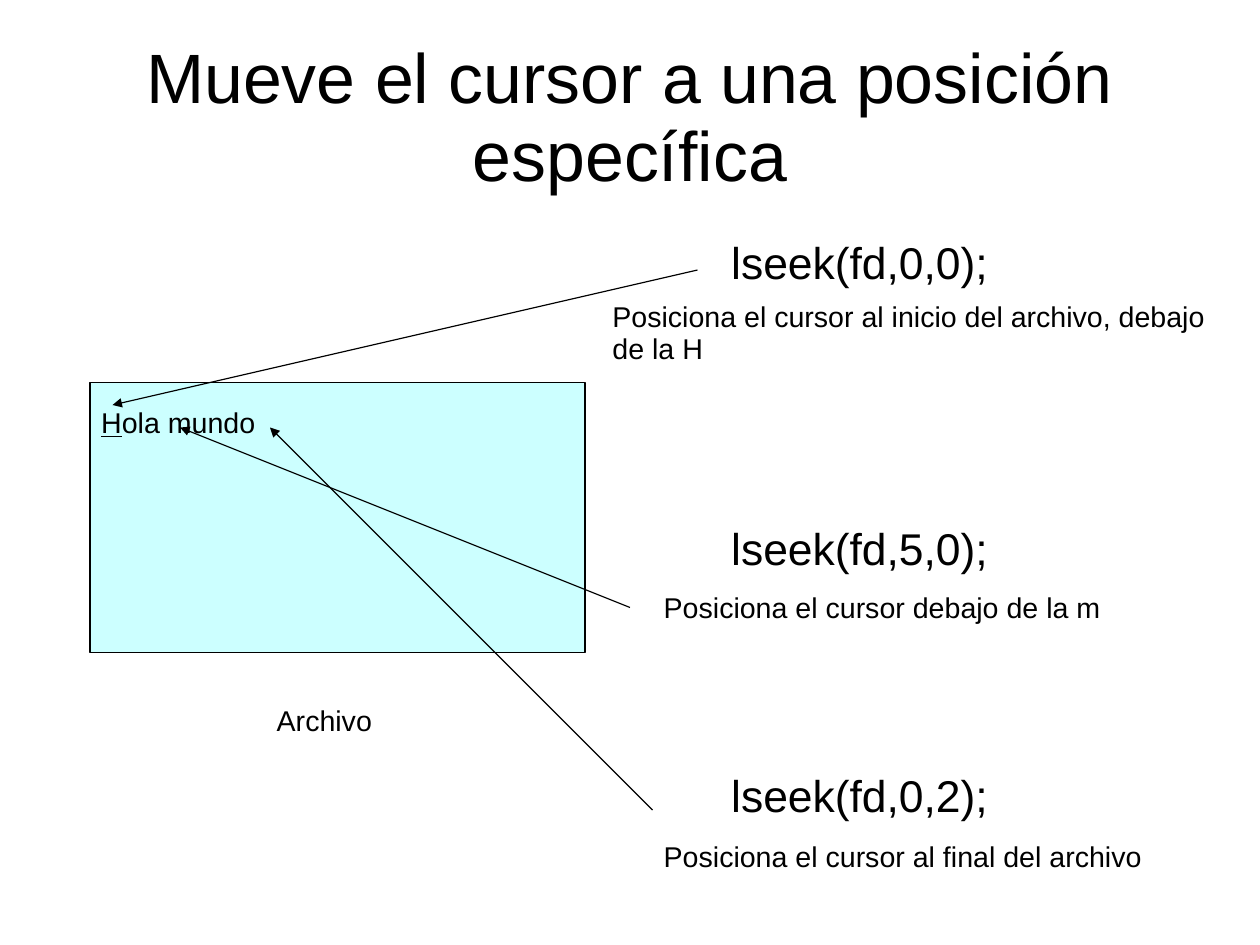
from pptx import Presentation
from pptx.dml.color import RGBColor
from pptx.enum.shapes import MSO_CONNECTOR, MSO_SHAPE
from pptx.enum.text import MSO_ANCHOR, PP_ALIGN
from pptx.oxml.ns import qn
from pptx.util import Cm, Pt
from lxml.etree import SubElement

CALLS = [
    ("lseek(fd,0,0);", "Posiciona el cursor al inicio del archivo, debajo de la H",
     (16, 5.16), (13.36, 6.53), (15.5, 6), (2.5, 9)),
    ("lseek(fd,5,0);", "Posiciona el cursor debajo de la m",
     (16, 11.5), (14.5, 13), (14, 13.5), (4, 9.5)),
    ("lseek(fd,0,2);", "Posiciona el cursor al final del archivo",
     (16, 17), (14.5, 18.54), (14.5, 18), (6, 9.5)),
]


def color(code):
    """Turn a hex string into a colour."""
    return RGBColor.from_string(code)


def style(frame, size, align=PP_ALIGN.LEFT, anchor=MSO_ANCHOR.TOP, pads=(0.25, 0.18, 0.25, 0.13)):
    """Set the wrap, insets and font of a text frame."""
    frame.word_wrap = True
    frame.vertical_anchor = anchor
    left, top, right, base = map(Cm, pads)
    frame.margin_left, frame.margin_top = left, top
    frame.margin_right, frame.margin_bottom = right, base
    for para in frame.paragraphs:
        para.alignment = align
        para.line_spacing = 0.93
        para.font.name = "Arial"
        para.font.size = Pt(size)
        para.font.color.rgb = color("000000")


def label(slide, text, size, left, top, width, height):
    """Add a text box in the given box."""
    box = slide.shapes.add_textbox(Cm(left), Cm(top), Cm(width), Cm(height))
    box.text_frame.text = text
    style(box.text_frame, size)


def title(slide, text, left, top, width, height):
    """Place the title in the given box."""
    head = slide.shapes.title
    head.left, head.top = Cm(left), Cm(top)
    head.width, head.height = Cm(width), Cm(height)
    head.text_frame.text = text
    style(head.text_frame, 44, PP_ALIGN.CENTER, MSO_ANCHOR.MIDDLE, (0, 0.1, 0, 0))


def file_box(slide, left, top, width, height):
    """Draw the file with its content and its caption below."""
    box = slide.shapes.add_shape(MSO_SHAPE.ROUNDED_RECTANGLE,
                                 Cm(left), Cm(top), Cm(width), Cm(height))
    box.adjustments[0] = 0
    box.shadow.inherit = False
    box.fill.solid()
    box.fill.fore_color.rgb = color("CCFFFF")
    box.line.color.rgb = color("000000")
    box.line.width = Pt(0.75)
    para = box.text_frame.paragraphs[0]
    first = para.add_run()
    first.text = "H"
    first.font.underline = True
    para.add_run().text = "ola mundo"
    style(box.text_frame, 18, pads=(0.25, 0.56, 0.25, 0.13))
    label(slide, "Archivo", 18, left + 3.9, top + height + 1, 3, 1.5)


def arrow(slide, start, end):
    """Draw an arrow from start to end."""
    line = slide.shapes.add_connector(MSO_CONNECTOR.STRAIGHT, *map(Cm, start + end))
    line.line.color.rgb = color("000000")
    line.line.width = Pt(0.75)
    SubElement(line.line._get_or_add_ln(), qn("a:tailEnd"), type="triangle")
    SubElement(line._element.spPr, qn("a:effectLst"))


def call(slide, code, note, spot, base, start, end, edge=27.5):
    """Place a call, its note and its arrow, up to the right edge."""
    label(slide, code, 28, *spot, 8.5, 1.35)
    label(slide, note, 18, *base, edge - base[0], 0.97)
    arrow(slide, start, end)


def main():
    """Build the slide and save it."""
    deck = Presentation()
    deck.slide_width, deck.slide_height = Cm(28), Cm(21)
    slide = deck.slides.add_slide(deck.slide_layouts[5])
    title(slide, "Mueve el cursor a una posición específica", 1.4, 0.84, 25.2, 3.5)
    file_box(slide, 2, 8.5, 11, 6)
    for item in CALLS:
        call(slide, *item)
    deck.save("out.pptx")


if __name__ == "__main__":
    main()
